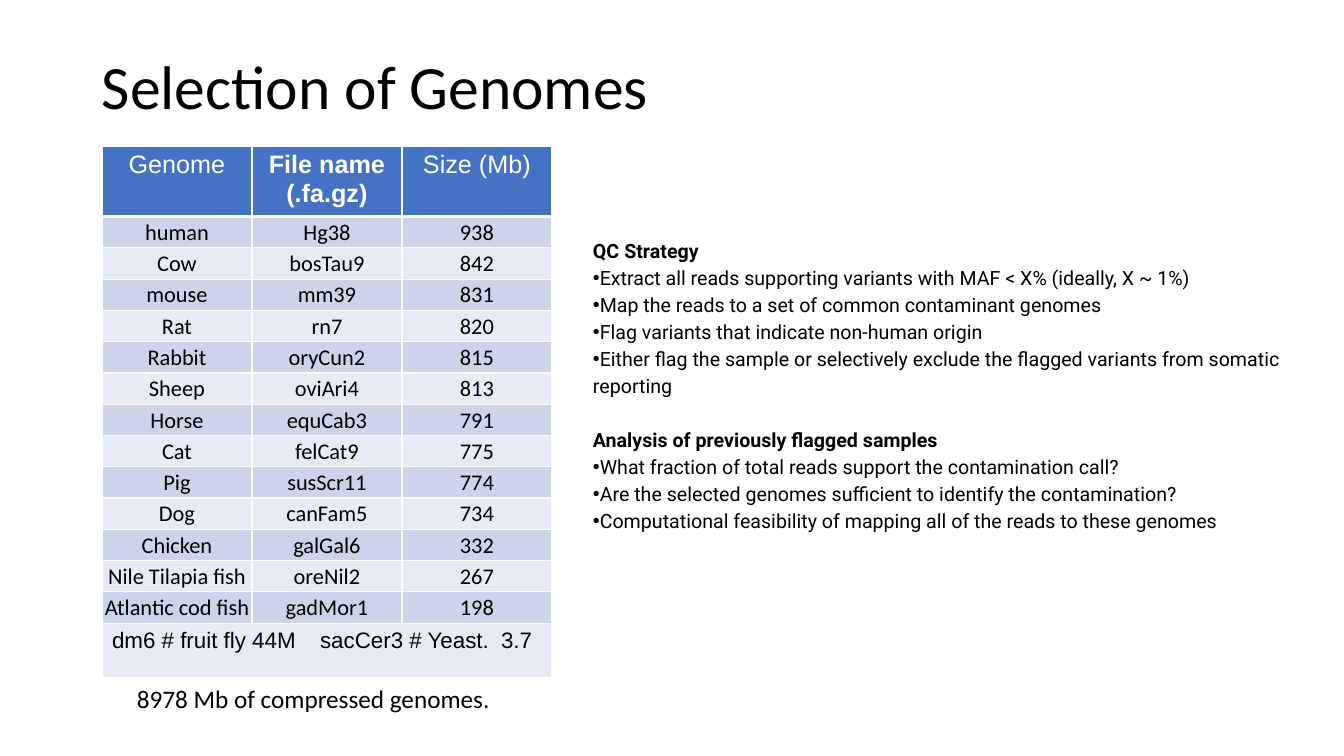
from lxml.etree import SubElement
from pptx import Presentation
from pptx.dml.color import RGBColor
from pptx.enum.text import MSO_ANCHOR, PP_ALIGN
from pptx.oxml import parse_xml
from pptx.oxml.ns import nsdecls, qn
from pptx.util import Emu, Pt

EMU_PER_PX = 914400 / 100.8
COLORS = {
    "text": "000000",
    "header": "4472C4",
    "header_text": "FFFFFF",
    "band_dark": "CDD4EA",
    "band_light": "E8EBF5",
    "border": "FFFFFF",
}
COLUMNS = ("Genome", "File name (.fa.gz)", "Size (Mb)")
GENOMES = (
    ("human", "Hg38", "938"),
    ("Cow", "bosTau9", "842"),
    ("mouse", "mm39", "831"),
    ("Rat", "rn7", "820"),
    ("Rabbit", "oryCun2", "815"),
    ("Sheep", "oviAri4", "813"),
    ("Horse", "equCab3", "791"),
    ("Cat", "felCat9", "775"),
    ("Pig", "susScr11", "774"),
    ("Dog", "canFam5", "734"),
    ("Chicken", "galGal6", "332"),
    ("Nile Tilapia fish", "oreNil2", "267"),
    ("Atlantic cod fish", "gadMor1", "198"),
)
SMALL_GENOMES = "dm6 # fruit fly 44M\tsacCer3 # Yeast.\t3.7"
SECTIONS = (
    ("QC Strategy", (
        "Extract all reads supporting variants with MAF < X% (ideally, X ~ 1%)",
        "Map the reads to a set of common contaminant genomes",
        "Flag variants that indicate non-human origin",
        "Either flag the sample or selectively exclude the flagged variants from somatic reporting",
    )),
    ("Analysis of previously flagged samples", (
        "What fraction of total reads support the contamination call?",
        "Are the selected genomes sufficient to identify the contamination?",
        "Computational feasibility of mapping all of the reads to these genomes",
    )),
)


def px(length):
    return Emu(round(length * EMU_PER_PX))


def style(paragraph, font, size, color="text", bold=False):
    for run in paragraph.runs:
        run.font.name = font
        run.font.size = Pt(size)
        run.font.bold = bold
        run.font.color.rgb = RGBColor.from_string(COLORS[color])


def add_text_frame(slide, box, inset_x=10, inset_y=5):
    frame = slide.shapes.add_textbox(*map(px, box)).text_frame
    frame.word_wrap = True
    frame.margin_left = frame.margin_right = px(inset_x)
    frame.margin_top = frame.margin_bottom = px(inset_y)
    return frame


def add_line(slide, box, text, size, line_spacing=1.0):
    frame = add_text_frame(slide, box)
    frame.vertical_anchor = MSO_ANCHOR.MIDDLE
    frame.text = text
    frame.paragraphs[0].line_spacing = line_spacing
    style(frame.paragraphs[0], "Calibri", size)


def paint_cell(cell, fill, top=1, bottom=1):
    cell.fill.solid()
    cell.fill.fore_color.rgb = RGBColor.from_string(COLORS[fill])
    properties = cell._tc.get_or_add_tcPr()
    widths = {"lnL": 1, "lnR": 1, "lnT": top, "lnB": bottom}
    for position, (side, width) in enumerate(widths.items()):
        properties.insert(position, parse_xml(
            f'<a:{side} {nsdecls("a")} w="{Pt(width)}"><a:solidFill>'
            f'<a:srgbClr val="{COLORS["border"]}"/></a:solidFill></a:{side}>'
        ))


def add_tab_stops(paragraph, positions):
    stops = SubElement(paragraph._p.get_or_add_pPr(), qn("a:tabLst"))
    for position in positions:
        SubElement(stops, qn("a:tab"), pos=str(px(position)), algn="l")


def add_genome_table(slide, box):
    left, top, width, height = box
    header_height, footer_height = 65, 54
    footer_row = len(GENOMES) + 1
    table = slide.shapes.add_table(
        footer_row + 1, len(COLUMNS), *map(px, box)
    ).table
    for column in table.columns:
        column.width = px(width // len(COLUMNS))
    genome_height = (height - header_height - footer_height) / len(GENOMES)
    heights = [header_height] + [genome_height] * len(GENOMES) + [footer_height]
    for row, row_height in zip(table.rows, heights):
        row.height = px(row_height)

    for index, heading in enumerate(COLUMNS):
        cell = table.cell(0, index)
        cell.text = heading
        paragraph = cell.text_frame.paragraphs[0]
        paragraph.alignment = PP_ALIGN.CENTER
        style(paragraph, "Arial", 18, "header_text", bold=index == 1)
        paint_cell(cell, "header", bottom=3)

    for row, genome in enumerate(GENOMES, 1):
        for index, value in enumerate(genome):
            cell = table.cell(row, index)
            cell.text = value
            cell.vertical_anchor = MSO_ANCHOR.MIDDLE
            cell.margin_left = cell.margin_right = cell.margin_top = px(1)
            cell.margin_bottom = 0
            paragraph = cell.text_frame.paragraphs[0]
            paragraph.alignment = PP_ALIGN.CENTER
            style(paragraph, "Calibri", 16)
            paint_cell(cell, "band_dark" if row % 2 else "band_light",
                       top=3 if row == 1 else 1)

    footer = table.cell(footer_row, 0)
    footer.merge(table.cell(footer_row, len(COLUMNS) - 1))
    footer.text = SMALL_GENOMES
    add_tab_stops(footer.text_frame.paragraphs[0], (208, 389))
    style(footer.text_frame.paragraphs[0], "Arial", 16)
    paint_cell(footer, "band_light")


def add_bullet(paragraph):
    properties = paragraph._p.get_or_add_pPr()
    properties.set("marL", "0")
    properties.set("indent", "0")
    SubElement(properties, qn("a:buFont"), typeface="Arial")
    SubElement(properties, qn("a:buChar"), char="•")


def add_strategy(slide, box):
    frame = add_text_frame(slide, box, inset_y=10)
    for index, (heading, points) in enumerate(SECTIONS):
        for position, text in enumerate((heading, *points)):
            first = index == position == 0
            paragraph = frame.paragraphs[0] if first else frame.add_paragraph()
            paragraph.text = text
            paragraph.line_spacing = 1.15
            style(paragraph, "Roboto", 14, bold=position == 0)
            if position:
                add_bullet(paragraph)
            elif index:
                paragraph.space_before = px(27)


def build_genome_slide(presentation):
    slide = presentation.slides.add_slide(presentation.slide_layouts[6])
    add_line(slide, (92, 17, 1159, 146), "Selection of Genomes", 44, 0.9)
    add_genome_table(slide, (102, 146, 450, 526))
    add_line(slide, (127, 678, 377, 41), "8978 Mb of compressed genomes.", 18)
    add_strategy(slide, (583, 225, 708, 318))


def main():
    presentation = Presentation()
    presentation.slide_width = px(1344)
    presentation.slide_height = px(756)
    build_genome_slide(presentation)
    presentation.save("out.pptx")


if __name__ == "__main__":
    main()
